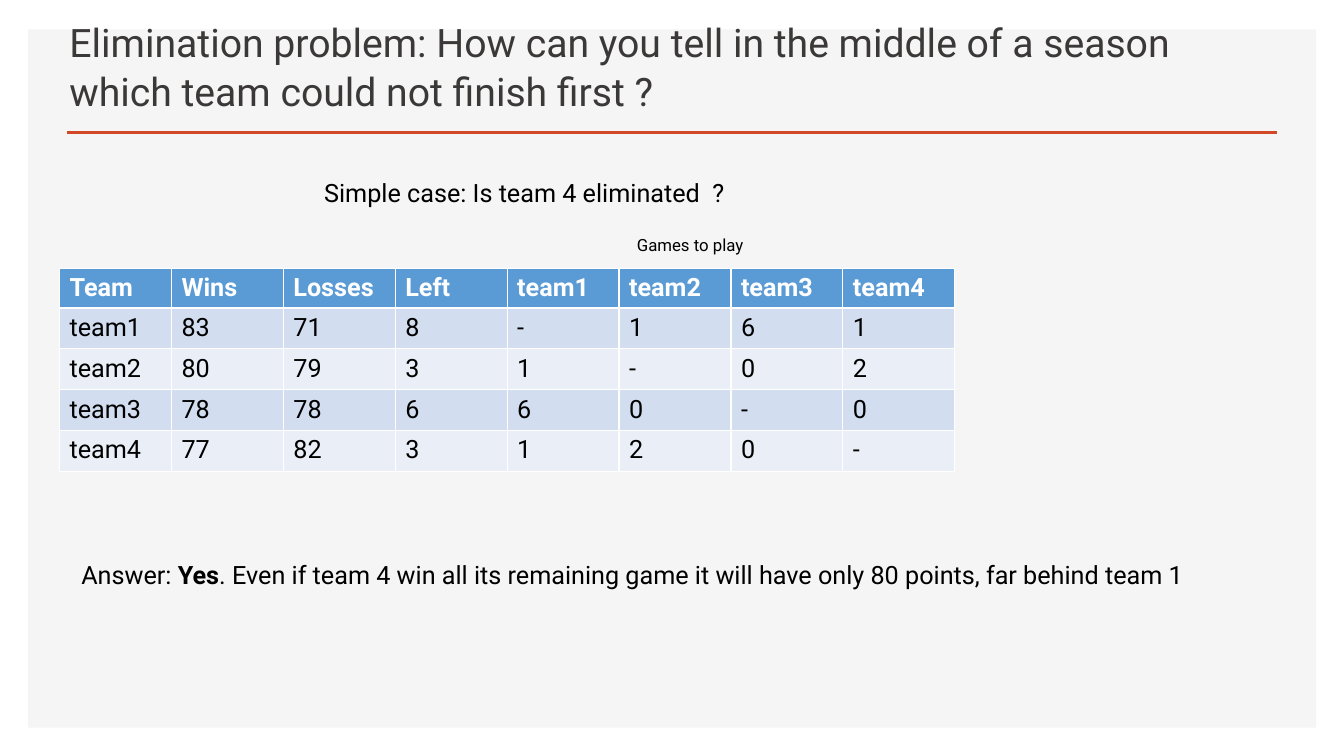
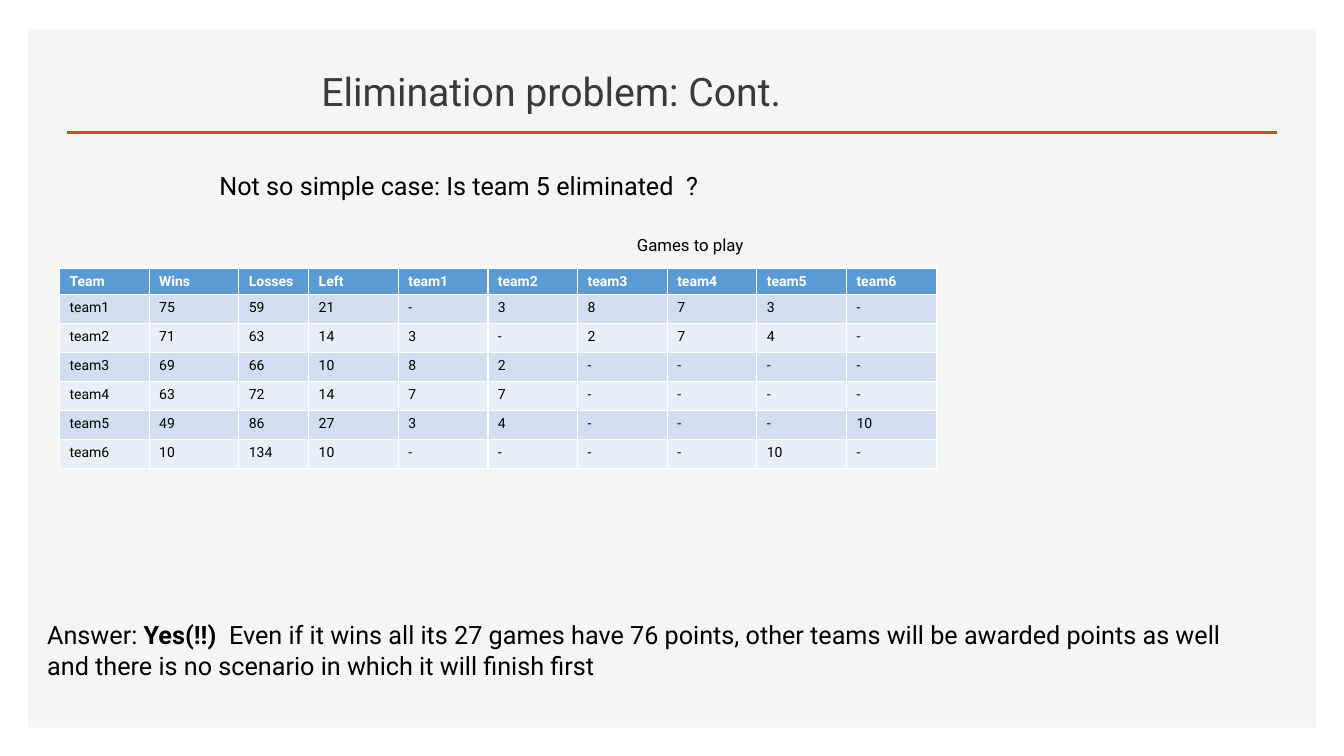
import lxml.etree
import pptx
import pptx.util
import pptx.dml.color
import pptx.enum.shapes
import pptx.enum.text
import pptx.oxml.ns

Cm = pptx.util.Cm
Pt = pptx.util.Pt
Rgb = pptx.dml.color.RGBColor.from_string
Anchor = pptx.enum.text.MSO_ANCHOR
Fit = pptx.enum.text.MSO_AUTO_SIZE


# Theme: font, colours and type sizes
class Theme:
    font = "Roboto"
    panel = Rgb("F5F5F5")
    rule = Rgb("D24726")
    title = Rgb("3B3838")
    text = Rgb("000000")
    white = Rgb("FFFFFF")
    head = Rgb("5B9BD5")
    bands = [Rgb("D2DEEF"), Rgb("EAEFF7")]
    big, body, small = Pt(28), Pt(18), Pt(12)


def style(para, size, color):
    for run in para.runs:
        run.font.name = Theme.font
        run.font.size = size
        run.font.color.rgb = color


def write(slide, box, lines, size, color=Theme.text):
    """Add a text box; each line is a list of parts, every second part bold."""
    shape = slide.shapes.add_textbox(*[Cm(n) for n in box])
    frame = shape.text_frame
    frame.word_wrap = True
    frame.auto_size = Fit.SHAPE_TO_FIT_TEXT
    for i, parts in enumerate(lines):
        para = frame.add_paragraph() if i else frame.paragraphs[0]
        for j, part in enumerate(parts):
            run = para.add_run()
            run.text = part
            run.font.bold = j % 2 == 1
        style(para, size, color)
    return frame


# Content of the slides, lengths in cm
pages = [
    dict(
        title="Elimination problem: How can you tell in the middle of a season "
              "which team could not finish first ?",
        indent=0.25,
        ask="Simple case: Is team 4 eliminated  ?",
        ask_box=(7.92, 4.34, 11.38, 1.02),
        rows=["Team Wins Losses Left team1 team2 team3 team4",
              "team1 83 71 8 - 1 6 1",
              "team2 80 79 3 1 - 0 2",
              "team3 78 78 6 6 0 - 0",
              "team4 77 82 3 1 2 0 -"],
        widths=[2.82] * 8, heights=(0.64, 1.03), size=Pt(18),
        reply=[["Answer: ", "Yes", ". Even if team 4 win all its remaining game "
                "it will have only 80 points, far behind team 1"]],
        reply_box=(1.8, 13.97, 30.91, 1.02),
    ),
    dict(
        title="Elimination problem: Cont.",
        indent=6.6,
        ask="Not so simple case: Is team 5 eliminated  ?",
        ask_box=(5.28, 4.17, 15.77, 1.02),
        rows=["Team Wins Losses Left team1 team2 team3 team4 team5 team6",
              "team1 75 59 21 - 3 8 7 3 -",
              "team2 71 63 14 3 - 2 7 4 -",
              "team3 69 66 10 8 2 - - - -",
              "team4 63 72 14 7 7 - - - -",
              "team5 49 86 27 3 4 - - - 10",
              "team6 10 134 10 - - - - 10 -"],
        widths=[2.26] * 2 + [1.76] + [2.26] * 7, heights=(0.48, 0.73), size=Pt(10),
        reply=[["Answer: ", "Yes(!!)  ", "Even if it wins all its 27 games have 76 "
                "points, other teams will be awarded points as well"],
               ["and there is no scenario in which it will finish first"]],
        reply_box=(0.94, 15.49, 30.91, 1.8),
    ),
]

deck = pptx.Presentation()
deck.slide_width, deck.slide_height = Cm(33.87), Cm(19.05)

for page in pages:
    slide = deck.slides.add_slide(deck.slide_layouts[6])

    # Panel and rule
    panel = slide.shapes.add_shape(
        pptx.enum.shapes.MSO_SHAPE.RECTANGLE, Cm(0.71), Cm(0.74), Cm(32.46), Cm(17.6))
    panel.shadow.inherit = False
    panel.fill.solid()
    panel.fill.fore_color.rgb = Theme.panel
    panel.line.fill.background()
    rule = slide.shapes.add_connector(
        pptx.enum.shapes.MSO_CONNECTOR.STRAIGHT, Cm(1.68), Cm(3.33), Cm(32.18), Cm(3.33))
    rule.line.color.rgb = Theme.rule
    rule.line.width = Pt(2)
    lxml.etree.SubElement(rule._element.spPr, pptx.oxml.ns.qn("a:effectLst"))

    # Title
    title = write(slide, (1.5, 0.53, 28.6, 2.49), [[page["title"]]], Theme.big, Theme.title)
    title.auto_size = Fit.NONE
    title.vertical_anchor = Anchor.BOTTOM
    title.margin_left = Cm(page["indent"])
    title.paragraphs[0].line_spacing = 1.05

    # Table
    rows, widths = page["rows"], page["widths"]
    first, rest = page["heights"]
    high = first + rest * (len(rows) - 1)
    grid = slide.shapes.add_table(
        len(rows), len(widths), Cm(1.5), Cm(6.76), Cm(sum(widths)), Cm(high)).table
    for col, width in zip(grid.columns, widths):
        col.width = Cm(width)
    for r, row in enumerate(rows):
        grid.rows[r].height = Cm(rest if r else first)
        for c, word in enumerate(row.split()):
            cell = grid.cell(r, c)
            cell.fill.solid()
            cell.fill.fore_color.rgb = Theme.bands[(r - 1) % 2] if r else Theme.head
            cell.text_frame.text = word
            para = cell.text_frame.paragraphs[0]
            style(para, page["size"], Theme.text if r else Theme.white)
            para.runs[0].font.bold = r == 0

    # Caption, question and answer
    write(slide, (15.8, 5.79, 4.83, 0.76), [["Games to play"]], Theme.small)
    write(slide, page["ask_box"], [[page["ask"]]], Theme.body)
    write(slide, page["reply_box"], page["reply"], Theme.body)

deck.save("out.pptx")
